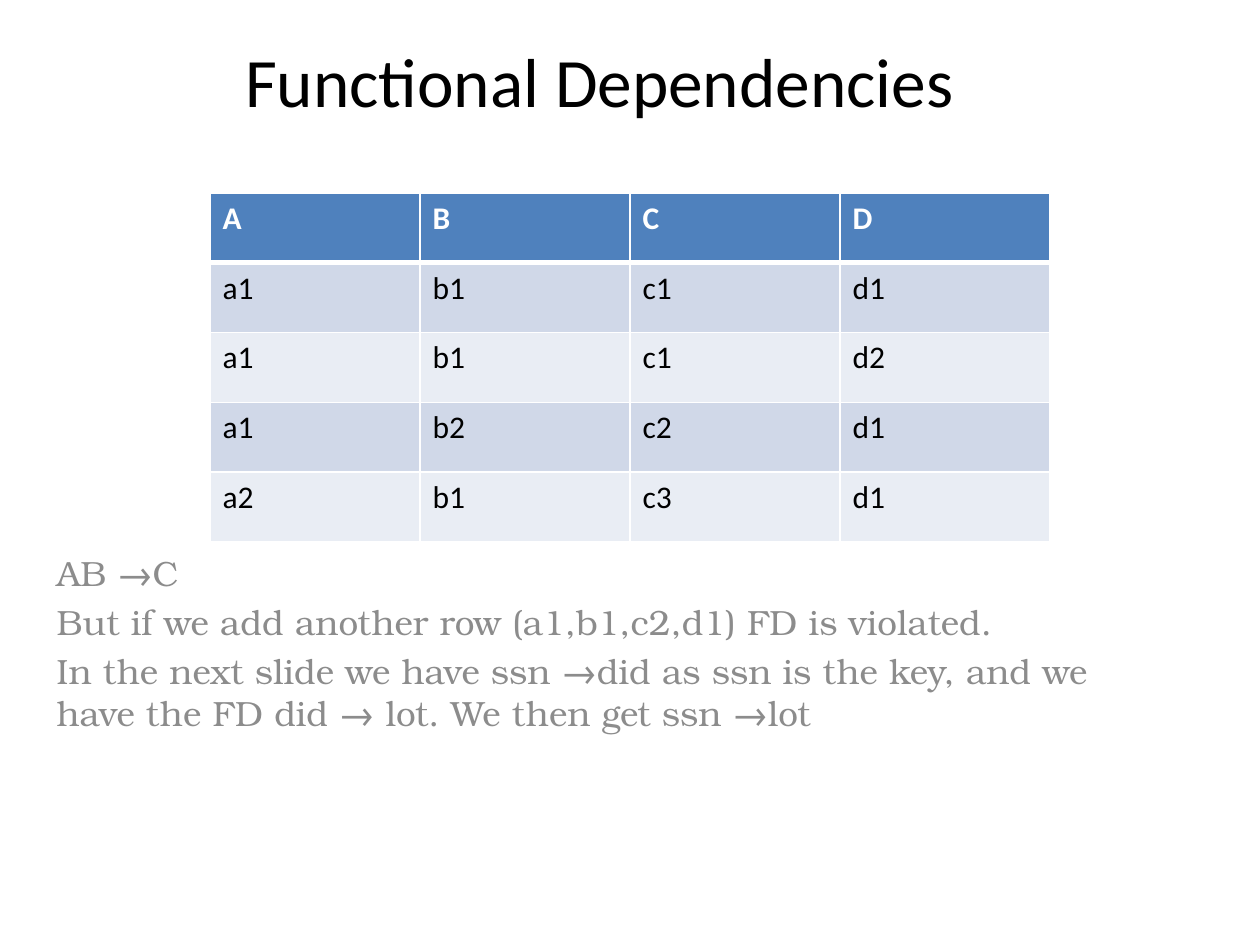
from dataclasses import dataclass

import pptx
import pptx.dml.color
import pptx.enum.text
import pptx.oxml
import pptx.oxml.ns
import pptx.util

RGBColor = pptx.dml.color.RGBColor
Align = pptx.enum.text.PP_ALIGN
Anchor = pptx.enum.text.MSO_ANCHOR

PIXELS_PER_INCH = 126
BLACK = RGBColor(0x00, 0x00, 0x00)
WHITE = RGBColor(0xFF, 0xFF, 0xFF)
GRAY = RGBColor(0x8C, 0x8C, 0x8C)
HEADER_BLUE = RGBColor(0x4F, 0x81, 0xBD)
BANDS = (RGBColor(0xD0, 0xD8, 0xE8), RGBColor(0xE9, 0xED, 0xF4))

RELATION = (
    ("A", "B", "C", "D"),
    ("a1", "b1", "c1", "d1"),
    ("a1", "b1", "c1", "d2"),
    ("a1", "b2", "c2", "d1"),
    ("a2", "b1", "c3", "d1"),
)
NOTES = (
    "AB →C",
    "But if we add another row (a1,b1,c2,d1) FD is violated.",
    "In the next slide we have ssn →did as ssn is the key, and we have the FD did → lot. We then get ssn →lot",
)


@dataclass(frozen=True)
class Box:
    left: int
    top: int
    width: int
    height: int


TITLE_BOX = Box(64, 45, 1071, 69)
TABLE_BOX = Box(210, 193, 840, 349)
NOTES_BOX = Box(44, 545, 1131, 355)


def px(length: int) -> pptx.util.Emu:
    return pptx.util.Emu(round(length * 914400 / PIXELS_PER_INCH))


def place(shape, box: Box) -> None:
    shape.left, shape.top = px(box.left), px(box.top)
    shape.width, shape.height = px(box.width), px(box.height)


def write(text_frame, *lines: str, size: float, color: RGBColor, font: str = "Calibri",
          bold: bool = False, align=Align.LEFT, anchor=Anchor.TOP, gap: int = 0) -> None:
    text_frame.word_wrap = True
    text_frame.auto_size = pptx.enum.text.MSO_AUTO_SIZE.NONE
    text_frame.vertical_anchor = anchor
    for index, line in enumerate(lines):
        paragraph = text_frame.add_paragraph() if index else text_frame.paragraphs[0]
        paragraph.alignment = align
        paragraph.space_before = pptx.util.Pt(0)
        paragraph.space_after = pptx.util.Pt(gap)
        run = paragraph.add_run()
        run.text = line
        run.font.name = font
        run.font.size = pptx.util.Pt(size)
        run.font.bold = bold
        run.font.color.rgb = color


def add_borders(cell, **widths: int) -> None:
    properties = cell._tc.get_or_add_tcPr()
    namespace = pptx.oxml.ns.nsdecls("a")
    for side in "LRTB":
        width = pptx.util.Pt(widths.get(side, 1))
        properties.append(pptx.oxml.parse_xml(
            f'<a:ln{side} {namespace} w="{width}"><a:solidFill>'
            f'<a:srgbClr val="{WHITE}"/></a:solidFill></a:ln{side}>'))


def add_relation(slide, rows: tuple, box: Box) -> None:
    table = slide.shapes.add_table(
        len(rows), len(rows[0]),
        px(box.left), px(box.top), px(box.width), px(box.height)).table
    for row_index, values in enumerate(rows):
        header = row_index == 0
        for column_index, value in enumerate(values):
            cell = table.cell(row_index, column_index)
            add_borders(cell, B=3 if header else 1, T=3 if row_index == 1 else 1)
            cell.fill.solid()
            cell.fill.fore_color.rgb = HEADER_BLUE if header else BANDS[(row_index - 1) % 2]
            paragraph_color = WHITE if header else BLACK
            write_cell(cell, value, color=paragraph_color, bold=header)


def write_cell(cell, value: str, color: RGBColor, bold: bool) -> None:
    cell.vertical_anchor = Anchor.TOP
    write(cell.text_frame, value, size=18, color=color, bold=bold)


def main() -> None:
    presentation = pptx.Presentation()
    presentation.slide_width = pptx.util.Inches(10)
    presentation.slide_height = pptx.util.Inches(7.5)
    slide = presentation.slides.add_slide(presentation.slide_layouts[0])

    title, notes = slide.shapes.title, slide.placeholders[1]
    place(title, TITLE_BOX)
    write(title.text_frame, "Functional Dependencies", size=39.6, color=BLACK,
          align=Align.CENTER, anchor=Anchor.MIDDLE)
    place(notes, NOTES_BOX)
    write(notes.text_frame, *NOTES, size=20, color=GRAY, font="TeX Gyre Bonum", gap=4)
    add_relation(slide, RELATION, TABLE_BOX)

    presentation.save("out.pptx")


if __name__ == "__main__":
    main()
